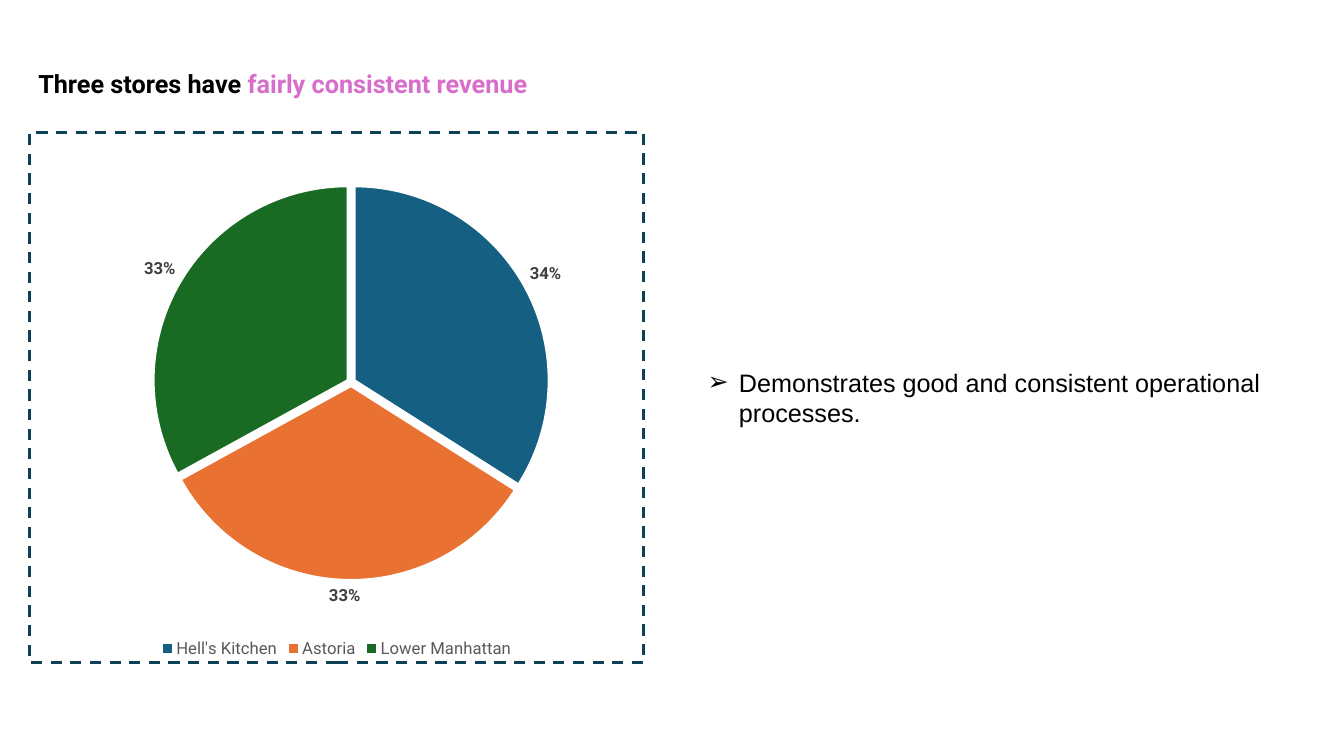
import pptx
import pptx.chart.data
import pptx.dml.color
import pptx.enum.chart
import pptx.enum.text
import pptx.oxml
import pptx.oxml.ns
import pptx.util
from pptx.util import Inches

RGBColor = pptx.dml.color.RGBColor
BLACK = RGBColor(0x00, 0x00, 0x00)
WHITE = RGBColor(0xFF, 0xFF, 0xFF)
PINK = RGBColor(0xD8, 0x6E, 0xCC)
LEGEND_GRAY = RGBColor(0x59, 0x59, 0x59)
LABEL_GRAY = RGBColor(0x40, 0x40, 0x40)
BORDER = RGBColor(0x0E, 0x40, 0x56)
STORES = [
    ("Hell's Kitchen", 34, RGBColor(0x15, 0x60, 0x82)),
    ("Astoria", 33, RGBColor(0xE9, 0x71, 0x32)),
    ("Lower Manhattan", 33, RGBColor(0x19, 0x6B, 0x24)),
]
NS = pptx.oxml.ns.nsdecls("c", "a")
qn = pptx.oxml.ns.qn


def set_font(font, name, size, color, bold=False):
    font.name = name
    font.size = pptx.util.Pt(size)
    font.bold = bold
    font.color.rgb = color


prs = pptx.Presentation()
prs.slide_width, prs.slide_height = Inches(13.33), Inches(7.5)
s = prs.slides.add_slide(prs.slide_layouts[5])

# Title
title = s.shapes.title
title.left, title.top = Inches(0.28), Inches(0.63)
title.width, title.height = Inches(11.03), Inches(0.4)
tf = title.text_frame
tf.word_wrap = True
tf.auto_size = pptx.enum.text.MSO_AUTO_SIZE.NONE
tf.vertical_anchor = pptx.enum.text.MSO_ANCHOR.TOP
p = tf.paragraphs[0]
p.alignment = pptx.enum.text.PP_ALIGN.LEFT
for text, color in [("Three stores have ", BLACK), ("fairly consistent revenue", PINK)]:
    r = p.add_run()
    r.text = text
    set_font(r.font, "Roboto", 18, color, bold=True)

# Revenue share pie
data = pptx.chart.data.CategoryChartData()
data.categories = [store for store, share, color in STORES]
data.add_series("Series 1", [share for store, share, color in STORES])
chart = s.shapes.add_chart(
    pptx.enum.chart.XL_CHART_TYPE.PIE,
    Inches(0.28), Inches(1.3), Inches(6.12), Inches(5.29), data).chart
chart.has_title = False
set_font(chart.font, "Roboto", 10, BLACK)
chart.has_legend = True
chart.legend.position = pptx.enum.chart.XL_LEGEND_POSITION.BOTTOM
chart.legend.include_in_layout = False
set_font(chart.legend.font, "Roboto", 12, LEGEND_GRAY)

plot = chart.plots[0]
plot.vary_by_categories = True
series = plot.series[0]
for i, (store, share, color) in enumerate(STORES):
    fmt = series.points[i].format
    fmt.fill.solid()
    fmt.fill.fore_color.rgb = color
    fmt.line.color.rgb = WHITE
    fmt.line.width = pptx.util.Pt(1.5)

# Percent labels
labels = series.data_labels
labels.show_value = False
labels.show_percentage = True
labels.number_format = "0%"
labels.number_format_is_linked = False
labels.position = pptx.enum.chart.XL_LABEL_POSITION.OUTSIDE_END
set_font(labels.font, "Roboto", 12, LABEL_GRAY, bold=True)

# Gaps between the slices
explosion = pptx.oxml.parse_xml(f'<c:explosion {NS} val="2"/>')
series.points[0].format  # slice elements follow the explosion in the schema
series._element.find(qn("c:dPt")).addprevious(explosion)

# Plot position inside the chart
plot_area = chart._chartSpace.chart.plotArea
for layout in plot_area.findall(qn("c:layout")):
    plot_area.remove(layout)
plot_area.insert(0, pptx.oxml.parse_xml(
    f'<c:layout {NS}><c:manualLayout><c:layoutTarget val="inner"/>'
    '<c:xMode val="edge"/><c:yMode val="edge"/><c:x val="0.201"/><c:y val="0.069"/>'
    '<c:w val="0.645"/><c:h val="0.804"/></c:manualLayout></c:layout>'))

# Dashed chart border
chart._chartSpace.chart.addnext(pptx.oxml.parse_xml(
    f'<c:spPr {NS}><a:noFill/><a:ln w="{pptx.util.Pt(2)}"><a:solidFill>'
    f'<a:srgbClr val="{BORDER}"/></a:solidFill><a:prstDash val="dash"/></a:ln></c:spPr>'))

# Takeaway bullet
tf = s.shapes.add_textbox(Inches(6.92), Inches(3.59), Inches(6.41), Inches(0.71)).text_frame
tf.word_wrap = True
p = tf.paragraphs[0]
p.text = "Demonstrates good and consistent operational processes."
set_font(p.font, "Arial", 18, BLACK)
pPr = p._p.get_or_add_pPr()
pPr.set("marL", str(Inches(0.31)))
pPr.set("indent", str(Inches(-0.31)))
for i, bullet in enumerate(['<a:buFont %s typeface="Arial"/>', '<a:buChar %s char="➢"/>']):
    pPr.insert(i, pptx.oxml.parse_xml(bullet % NS))

prs.save("out.pptx")
